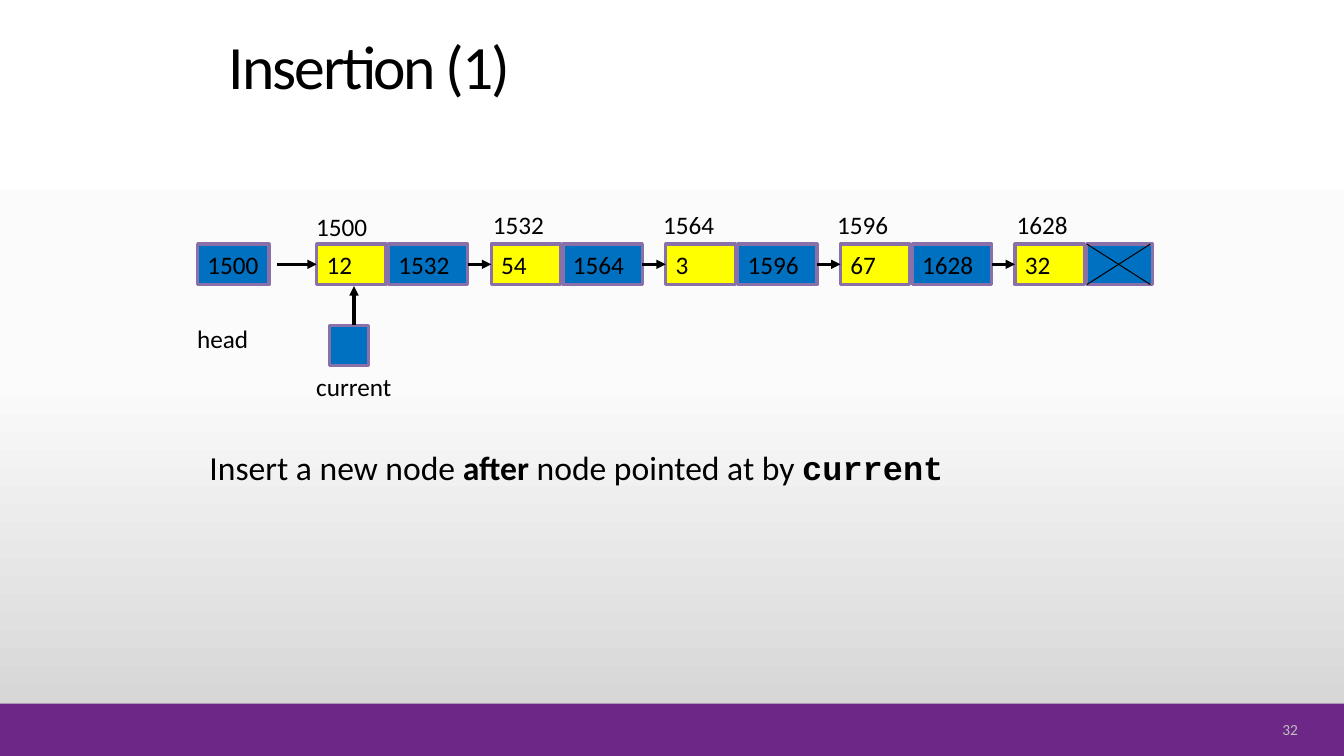
import copy

import pptx
import pptx.dml.color
import pptx.enum.shapes
import pptx.enum.text
import pptx.oxml
import pptx.oxml.ns
import pptx.util
from pptx.dml.color import RGBColor
from pptx.util import Cm

BLACK = RGBColor(0x00, 0x00, 0x00)
BLUE = RGBColor(0x00, 0x70, 0xC0)
YELLOW = RGBColor(0xFF, 0xFF, 0x00)
MAUVE = RGBColor(0x89, 0x70, 0xA9)
PURPLE = RGBColor(0x6C, 0x27, 0x87)
GREY = RGBColor(0xBF, 0xBF, 0xBF)
BACKGROUND_STOPS = (
    (0, RGBColor(0xFF, 0xFF, 0xFF)),
    (0.5, RGBColor(0xFB, 0xFB, 0xFB)),
    (1, RGBColor(0xD1, 0xD1, 0xD1)),
)

FONT = "Calibri"
CODE_FONT = "Courier New"

# Node value, address, and the left and top of its address label in cm
NODES = (
    ("12", "1500", 7.72, 5.21),
    ("54", "1532", 12.17, 5.16),
    ("3", "1564", 16.46, 5.16),
    ("67", "1596", 20.85, 5.16),
    ("32", "1628", 25.37, 5.16),
)
ROW_TOP = 6.15
CELL_HEIGHT = 1.02
FIRST_NODE_LEFT = 7.98
NODE_PITCH = 4.4
VALUE_WIDTH = 1.75
LINK_OFFSET = 1.81
LINK_WIDTH = 2.0
NULL_WIDTH = 1.65


def set_background(s):
    fill = s.background.fill
    fill.gradient()
    fill.gradient_angle = 270
    stop_list = s.element.find(".//" + pptx.oxml.ns.qn("a:gsLst"))
    stop_list.insert(1, copy.deepcopy(stop_list[0]))
    for stop, (position, color) in zip(fill.gradient_stops, BACKGROUND_STOPS):
        stop.position = position
        stop.color.rgb = color


def format_paragraph(p, size, color=BLACK):
    p.font.name = FONT
    p.font.size = pptx.util.Pt(size)
    p.font.color.rgb = color


def add_title(s, text):
    title = s.shapes.title
    title.left, title.top = Cm(5.51), Cm(0.33)
    title.width, title.height = Cm(20.96), Cm(2.39)
    tf = title.text_frame
    tf.text = text
    tf.auto_size = pptx.enum.text.MSO_AUTO_SIZE.NONE
    tf.vertical_anchor = pptx.enum.text.MSO_ANCHOR.BOTTOM
    p = tf.paragraphs[0]
    p.alignment = pptx.enum.text.PP_ALIGN.LEFT
    p.line_spacing = 0.9
    format_paragraph(p, 44)
    p.runs[0].font._element.set("spc", "-150")


def add_rectangle(s, left, top, width, height, color):
    sp = s.shapes.add_shape(pptx.enum.shapes.MSO_SHAPE.RECTANGLE,
                            Cm(left), Cm(top), Cm(width), Cm(height))
    sp.shadow.inherit = False
    sp.fill.solid()
    sp.fill.fore_color.rgb = color
    sp.line.fill.background()
    return sp


def add_cell(s, left, top, width, color, text="", wrap=False):
    sp = add_rectangle(s, left, top, width, CELL_HEIGHT, color)
    sp.line.color.rgb = MAUVE
    sp.line.width = pptx.util.Pt(2.25)
    if text:
        tf = sp.text_frame
        tf.text = text
        tf.word_wrap = wrap
        tf.auto_size = pptx.enum.text.MSO_AUTO_SIZE.SHAPE_TO_FIT_TEXT
        tf.vertical_anchor = pptx.enum.text.MSO_ANCHOR.TOP
        p = tf.paragraphs[0]
        p.alignment = pptx.enum.text.PP_ALIGN.LEFT
        format_paragraph(p, 18)
    return sp


def add_label(s, left, top, width, text):
    box = s.shapes.add_textbox(Cm(left), Cm(top), Cm(width), Cm(CELL_HEIGHT))
    tf = box.text_frame
    tf.text = text
    tf.word_wrap = False
    tf.auto_size = pptx.enum.text.MSO_AUTO_SIZE.SHAPE_TO_FIT_TEXT
    format_paragraph(tf.paragraphs[0], 18)


def add_line(s, x1, y1, x2, y2, weight=0.75):
    line = s.shapes.add_connector(pptx.enum.shapes.MSO_CONNECTOR.STRAIGHT,
                                  Cm(x1), Cm(y1), Cm(x2), Cm(y2))
    line.line.color.rgb = BLACK
    line.line.width = pptx.util.Pt(weight)
    pptx.oxml.ns.qn("a:effectLst")
    line._element.spPr.append(
        pptx.oxml.parse_xml("<a:effectLst %s/>" % pptx.oxml.ns.nsdecls("a")))
    return line


def add_arrow(s, x1, y1, x2, y2):
    arrow = add_line(s, x1, y1, x2, y2, 2.25)
    arrow.line._get_or_add_ln().append(pptx.oxml.parse_xml(
        '<a:tailEnd %s type="triangle"/>' % pptx.oxml.ns.nsdecls("a")))
    return arrow


def add_linked_list(s):
    """Draw the nodes from left to right, each joined to the one before."""
    middle = ROW_TOP + CELL_HEIGHT / 2
    bottom = ROW_TOP + CELL_HEIGHT
    add_cell(s, 4.98, ROW_TOP, 1.8, BLUE, NODES[0][1])
    previous_link = None
    for i, (value, address, label_left, label_top) in enumerate(NODES):
        left = FIRST_NODE_LEFT + i * NODE_PITCH
        link_left = left + LINK_OFFSET
        value_cell = add_cell(s, left, ROW_TOP, VALUE_WIDTH, YELLOW, value)
        add_label(s, label_left, label_top, 1.8, address)
        if previous_link is None:
            arrow = add_arrow(s, 6.99, middle, left, middle)
        else:
            arrow = add_arrow(s, left - 0.6, middle, left, middle)
            arrow.begin_connect(previous_link, 3)
        arrow.end_connect(value_cell, 1)
        if i + 1 < len(NODES):
            previous_link = add_cell(s, link_left, ROW_TOP, LINK_WIDTH, BLUE,
                                     NODES[i + 1][1], wrap=True)
        else:
            add_cell(s, link_left, ROW_TOP, NULL_WIDTH, BLUE)
            right = link_left + 1.6
            add_line(s, link_left, ROW_TOP, right, bottom)
            add_line(s, right, ROW_TOP, link_left, bottom)
    add_label(s, 4.72, 8.03, 1.83, "head")


def add_current_pointer(s):
    add_cell(s, 8.31, 8.2, 0.97, BLUE)
    add_arrow(s, 8.92, 8.2, 8.92, 7.21)
    add_label(s, 7.72, 9.22, 2.49, "current")


def add_instruction(s):
    box = s.shapes.add_textbox(Cm(5.03), Cm(11.13), Cm(22.02), Cm(1.27))
    tf = box.text_frame
    tf.word_wrap = True
    tf.auto_size = pptx.enum.text.MSO_AUTO_SIZE.SHAPE_TO_FIT_TEXT
    p = tf.paragraphs[0]
    format_paragraph(p, 24)
    for text, bold, font in (("Insert a new node ", False, FONT),
                             ("after", True, FONT),
                             (" node pointed at by ", False, FONT),
                             ("current", True, CODE_FONT)):
        r = p.add_run()
        r.text = text
        r.font.name = font
        r.font.size = pptx.util.Pt(24)
        r.font.color.rgb = BLACK
        r.font.bold = bold


def add_footer(s, number):
    add_rectangle(s, 0, 17.73, 33.87, 1.32, PURPLE)
    box = s.shapes.add_textbox(Cm(31.06), Cm(18.08), Cm(1.9), Cm(0.58))
    tf = box.text_frame
    tf.text = number
    tf.word_wrap = True
    tf.vertical_anchor = pptx.enum.text.MSO_ANCHOR.MIDDLE
    p = tf.paragraphs[0]
    p.alignment = pptx.enum.text.PP_ALIGN.RIGHT
    format_paragraph(p, 11, GREY)


def main():
    prs = pptx.Presentation()
    prs.slide_width, prs.slide_height = Cm(33.87), Cm(19.05)
    s = prs.slides.add_slide(prs.slide_layouts[5])
    set_background(s)
    add_title(s, "Insertion (1)")
    add_linked_list(s)
    add_current_pointer(s)
    add_instruction(s)
    add_footer(s, "32")
    prs.save("out.pptx")


if __name__ == "__main__":
    main()
